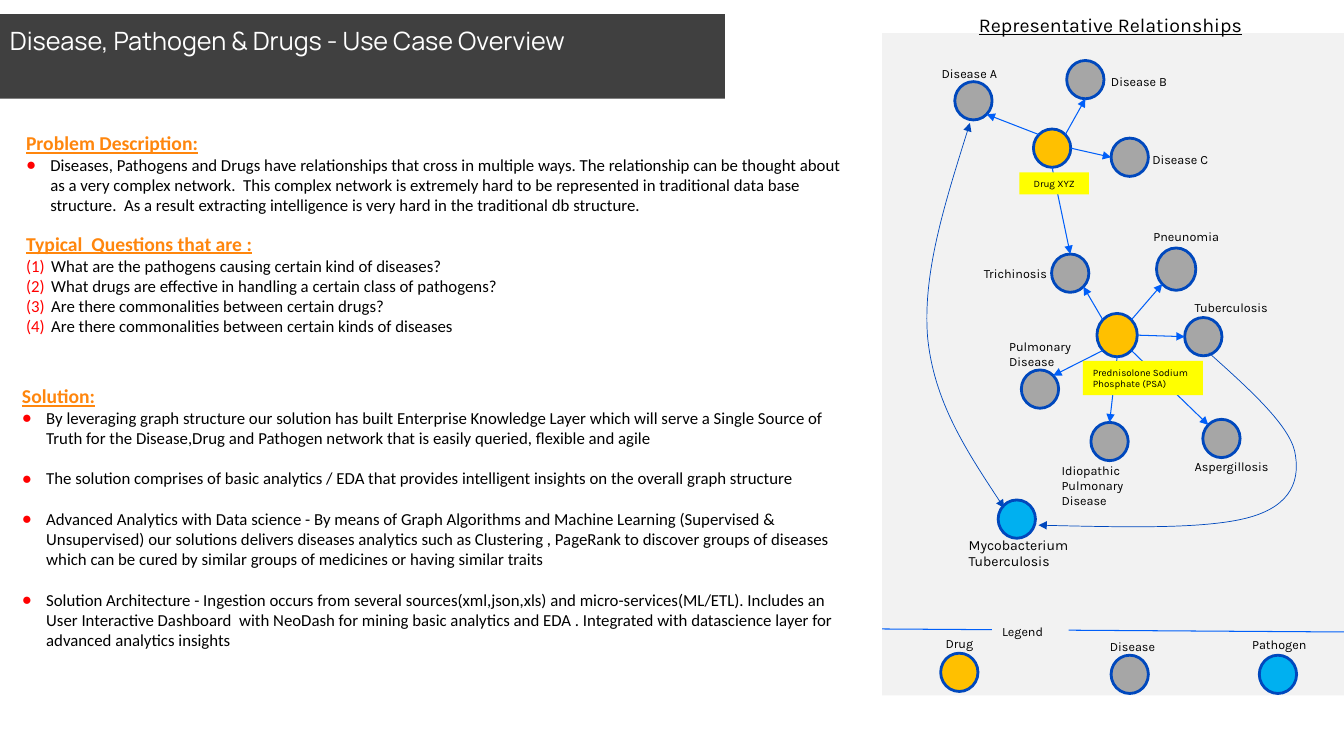
"""Build the disease, pathogen and drug use case overview slide."""
from math import cos, pi, sin

from lxml import etree
from pptx import Presentation
from pptx.dml.color import RGBColor
from pptx.enum.shapes import MSO_CONNECTOR, MSO_SHAPE
from pptx.enum.text import MSO_ANCHOR, PP_ALIGN
from pptx.oxml.ns import qn
from pptx.util import Inches, Pt

OVAL, RECTANGLE = MSO_SHAPE.OVAL, MSO_SHAPE.RECTANGLE
STRAIGHT = MSO_CONNECTOR.STRAIGHT
TOP, MIDDLE = MSO_ANCHOR.TOP, MSO_ANCHOR.MIDDLE
LEFT, CENTER = PP_ALIGN.LEFT, PP_ALIGN.CENTER

COLORS = {
    "banner": "404040", "panel": "F2F2F2", "white": "FFFFFF", "black": "000000",
    "heading": "FF860D", "bullet": "FF0000", "tag": "FFFF00",
    "drug": "FFC000", "disease": "A6A6A6", "pathogen": "00B0F0",
    "outline": "0048BD", "link": "005FF9",
}
RGB = {name: RGBColor.from_string(value) for name, value in COLORS.items()}

deck = Presentation()
deck.slide_width, deck.slide_height = Inches(13.33), Inches(7.5)
page = deck.slides.add_slide(deck.slide_layouts[6])
shapes = page.shapes


def add_box(place, fill=None, text="", size=9, font="Karla", color="black", align=LEFT):
    """Add a filled rectangle, or a plain text box when there is no fill."""
    place = [Inches(value) for value in place]
    if fill:
        box = shapes.add_shape(RECTANGLE, *place)
        box.shadow.inherit = False
        box.fill.solid()
        box.fill.fore_color.rgb = RGB[fill]
        box.line.fill.background()
    else:
        box = shapes.add_textbox(*place)
    if text:
        frame = box.text_frame
        frame.word_wrap = True
        frame.vertical_anchor = MIDDLE if fill else TOP
        frame.text = text
        for para in frame.paragraphs:
            para.alignment = align
            for span in para.runs:
                span.font.size = Pt(size)
                span.font.name = font
                span.font.color.rgb = RGB[color]
    return box


def style_line(shape, color, width, ends=()):
    """Colour a line and put triangles on the named ends."""
    shape.line.color.rgb = RGB[color]
    shape.line.width = Pt(width)
    properties = shape.element.spPr
    for end in ends:
        etree.SubElement(properties.find(qn("a:ln")), qn("a:" + end), type="triangle")
    if properties.find(qn("a:effectLst")) is None:
        etree.SubElement(properties, qn("a:effectLst"))


add_box((0, 0.14, 7.19, 0.84), "banner")
add_box((0, 0.2, 6.36, 0.4), "banner", "Disease, Pathogen & Drugs - Use Case Overview",
        18, "Manrope", "white")

DOT = ("buChar", {"char": "●"}, 0.24)
NUMBER = ("buAutoNum", {"type": "arabicParenBoth"}, 0.25)
problem = [
    ("Problem Description:", None, 0),
    ("Diseases, Pathogens and Drugs have relationships that cross in multiple ways. "
     "The relationship can be thought about as a very complex network.  This complex "
     "network is extremely hard to be represented in traditional data base structure.  "
     "As a result extracting intelligence is very hard in the traditional db structure.",
     DOT, 0),
    ("Typical  Questions that are :", None, 12),
    ("What are the pathogens causing certain kind of diseases?", NUMBER, 0),
    ("What drugs are effective in handling a certain class of pathogens?", NUMBER, 0),
    ("Are there commonalities between certain drugs?", NUMBER, 0),
    ("Are there commonalities between certain kinds of diseases", NUMBER, 0),
]
solution = [
    ("Solution:", None, 0),
    ("By leveraging graph structure our solution has built Enterprise Knowledge Layer "
     "which will serve a Single Source of Truth for the Disease,Drug and Pathogen "
     "network that is easily queried, flexible and agile", DOT, 0),
    ("The solution comprises of basic analytics / EDA that provides intelligent "
     "insights on the overall graph structure", DOT, 14.6),
    ("Advanced Analytics with Data science - By means of Graph Algorithms and Machine "
     "Learning (Supervised & Unsupervised) our solutions delivers diseases analytics "
     "such as Clustering , PageRank to discover groups of diseases which can be cured "
     "by similar groups of medicines or having similar traits", DOT, 14.6),
    ("Solution Architecture - Ingestion occurs from several sources(xml,json,xls) and "
     "micro-services(ML/ETL). Includes an User Interactive Dashboard  with NeoDash for "
     "mining basic analytics and EDA . Integrated with datascience layer for advanced "
     "analytics insights", DOT, 14.6),
]
for place, entries in (((0.16, 1.25, 8.39, 2.52), problem),
                       ((0.12, 3.76, 8.3, 3.06), solution)):
    box = add_box(place, None, "\n".join(entry[0] for entry in entries), 12, "Calibri")
    for para, (text, bullet, space) in zip(box.text_frame.paragraphs, entries):
        if space:
            para.space_before = Pt(space)
        if bullet:
            tag, attributes, indent = bullet
            properties = para._p.get_or_add_pPr()
            properties.set("marL", str(Inches(indent)))
            properties.set("indent", str(-Inches(indent)))
            bullet_color = etree.SubElement(properties, qn("a:buClr"))
            etree.SubElement(bullet_color, qn("a:srgbClr"), val=COLORS["bullet"])
            if bullet is DOT:
                etree.SubElement(properties, qn("a:buFont"), typeface="Arial")
            etree.SubElement(properties, qn("a:" + tag), **attributes)
        else:
            font = para.runs[0].font
            font.size = Pt(14)
            font.bold = font.underline = True
            font.color.rgb = RGB["heading"]

add_box((8.75, 0.33, 4.58, 6.57), "panel")

nodes = {
    "PSA": ("drug", 10.88, 3.11, 0.4, 0.43),
    "Pneunomia": ("disease", 11.47, 2.46, 0.39, 0.42),
    "Tuberculosis": ("disease", 11.75, 3.15, 0.37, 0.38),
    "Aspergillosis": ("disease", 11.93, 4.16, 0.37, 0.38),
    "Idiopathic": ("disease", 10.82, 4.19, 0.37, 0.38),
    "Pulmonary": ("disease", 10.13, 3.67, 0.37, 0.38),
    "Trichinosis": ("disease", 10.43, 2.52, 0.37, 0.38),
    "XYZ": ("drug", 10.25, 1.28, 0.37, 0.38),
    "A": ("disease", 9.47, 0.81, 0.37, 0.38),
    "B": ("disease", 10.58, 0.6, 0.37, 0.38),
    "C": ("disease", 11.02, 1.37, 0.37, 0.38),
    "Mycobacterium": ("pathogen", 9.9, 4.96, 0.37, 0.38),
    "Legend drug": ("drug", 9.33, 6.48, 0.37, 0.38),
    "Legend disease": ("disease", 11.02, 6.5, 0.37, 0.38),
    "Legend pathogen": ("pathogen", 12.49, 6.5, 0.37, 0.38),
}
for kind, *place in nodes.values():
    node = shapes.add_shape(OVAL, *[Inches(value) for value in place])
    node.shadow.inherit = False
    node.fill.solid()
    node.fill.fore_color.rgb = RGB[kind]
    style_line(node, "outline", 2)

SITES = {"E": 0, "SE": 1, "S": 2, "SW": 3, "W": 4, "NW": 5, "N": 6, "NE": 7}
links = [
    ("PSA", "NE", "Pneunomia", "SW"), ("PSA", "E", "Tuberculosis", "W"),
    ("PSA", "SE", "Aspergillosis", "NW"), ("PSA", "S", "Idiopathic", "N"),
    ("PSA", "SW", "Pulmonary", "NE"), ("PSA", "NW", "Trichinosis", "SE"),
    ("XYZ", "S", "Trichinosis", "N"), ("XYZ", "E", "C", "W"),
    ("XYZ", "NE", "B", "S"), ("XYZ", "NW", "A", "SE"),
]
for source, source_site, target, target_site in links:
    ends = []
    for name, site in ((source, source_site), (target, target_site)):
        _, left, top, width, height = nodes[name]
        angle = SITES[site] * pi / 4
        ends += [Inches(left + width / 2 * (1 + cos(angle))),
                 Inches(top + height / 2 * (1 + sin(angle)))]
    style_line(shapes.add_connector(STRAIGHT, *ends), "link", 0.75, ["tailEnd"])

curves = [
    (["tailEnd"], [(11.99, 3.5), (12.38, 3.85), (12.77, 4.2), (12.84, 4.47),
                   (12.9, 4.75), (12.82, 5.01), (12.4, 5.13),
                   (11.98, 5.25), (11.14, 5.23), (10.3, 5.21)]),
    (["headEnd", "tailEnd"], [(9.62, 1.22), (9.39, 1.96), (9.15, 2.7), (9.2, 3.34),
                              (9.26, 3.98), (9.61, 4.51), (9.96, 5.04)]),
]
for ends, points in curves:
    points = [(Inches(x), Inches(y)) for x, y in points]
    builder = shapes.build_freeform(*points[0])
    builder.add_line_segments(points[1:], close=False)
    curve = builder.convert_to_shape()
    outline = next(curve.element.iter(qn("a:path")))
    segments = outline.findall(qn("a:lnTo"))
    for start in range(0, len(segments), 3):
        bend = etree.SubElement(outline, qn("a:cubicBezTo"))
        for segment in segments[start:start + 3]:
            bend.append(segment[0])
            outline.remove(segment)
    curve.shadow.inherit = False
    curve.fill.background()
    style_line(curve, "outline", 0.5, ends)

legend_line = shapes.add_connector(STRAIGHT, Inches(8.75), Inches(6.24),
                                   Inches(13.33), Inches(6.27))
style_line(legend_line, "link", 0.75)

add_box((10.74, 3.58, 1.19, 0.34), "tag", "Prednisolone Sodium Phosphate (PSA)", 7)
add_box((10.11, 1.71, 0.69, 0.22), "tag", "Drug XYZ", 7, align=CENTER)
add_box((9.84, 6.14, 0.76, 0.25), "panel", "Legend")
labels = [
    ("Tuberculosis", 11.75, 2.93, 1.19), ("Pneunomia", 11.34, 2.22, 1.19),
    ("Trichinosis", 9.66, 2.59, 1.19), ("Pulmonary\nDisease", 9.91, 3.31, 1.19),
    ("Idiopathic Pulmonary\nDisease", 10.43, 4.54, 1.38),
    ("Aspergillosis", 11.75, 4.5, 1.19), ("Disease A", 9.24, 0.6, 1.19),
    ("Disease B", 10.92, 0.68, 1.19), ("Disease C", 11.33, 1.46, 1.19),
    ("Drug", 9.28, 6.26, 0.84), ("Disease", 10.91, 6.29, 0.84),
    ("Pathogen", 12.32, 6.27, 0.84),
]
for text, left, top, width in labels:
    add_box((left, top, width, 0.4 if "\n" in text else 0.25), None, text)
add_box((9.51, 5.27, 1.3, 0.44), None, "Mycobacterium\nTuberculosis", 10)
title = add_box((8.99, 0.08, 4.05, 0.34), None, "Representative Relationships", 14, align=CENTER)
title.text_frame.paragraphs[0].runs[0].font.underline = True

deck.save("out.pptx")
